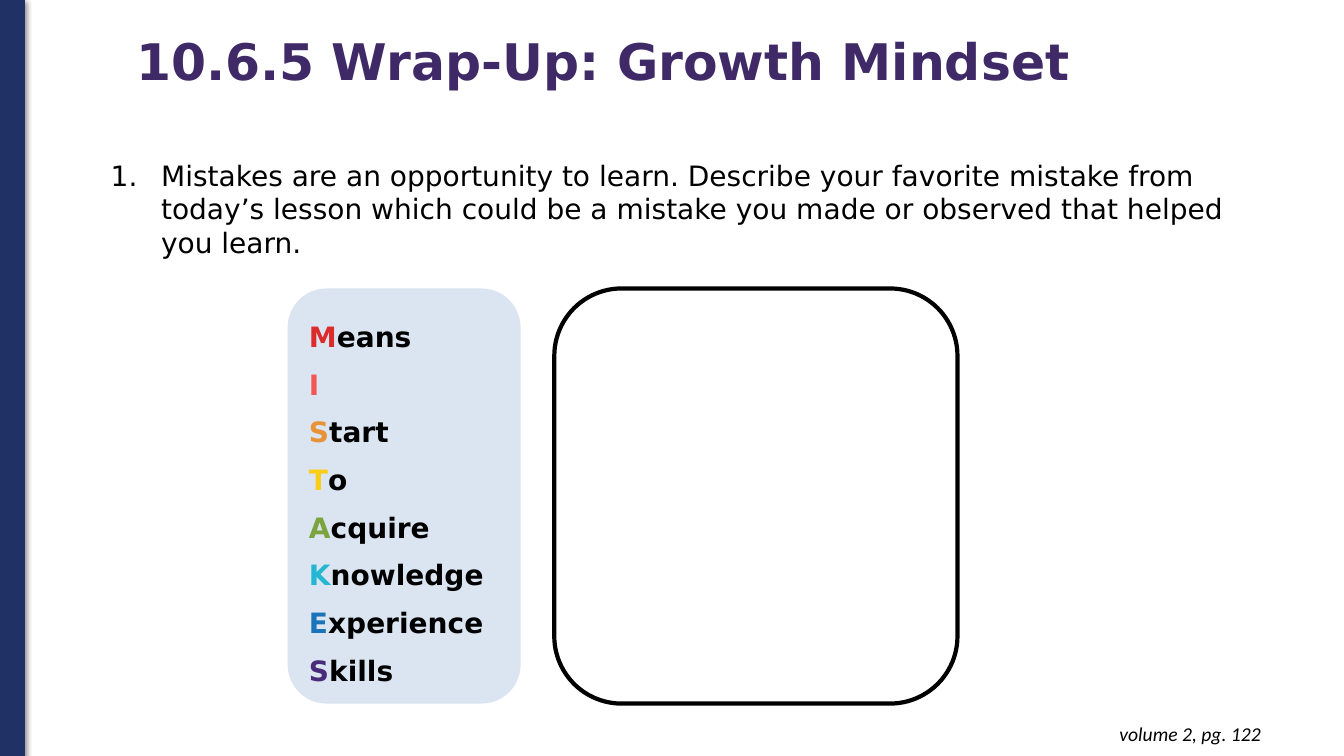
from lxml import etree
from pptx import Presentation
from pptx import util as u
from pptx.dml import color
from pptx.enum import shapes, text
from pptx.oxml import ns

COLOURS = {
    "navy": "1F3165", "title": "3F2A67", "ink": "000000", "panel": "DAE5F1",
    "red": "DB2B2A", "coral": "F25756", "orange": "E99237", "yellow": "FACD17",
    "green": "7BA43F", "cyan": "24B7D2", "blue": "1B74B9", "purple": "4A2B79",
}
LESSON_TITLE = "10.6.5 Wrap-Up: Growth Mindset"
QUESTION = ("Mistakes are an opportunity to learn. Describe your favorite mistake from "
            "today’s lesson which could be a mistake you made or observed that helped "
            "you learn.")
PAGE_REFERENCE = "volume 2, pg. 122"
ACROSTIC = [
    ("Means", "red"), ("I", "coral"), ("Start", "orange"), ("To", "yellow"),
    ("Acquire", "green"), ("Knowledge", "cyan"), ("Experience", "blue"), ("Skills", "purple"),
]
TITLE_FONT = {"name": "DejaVu Sans", "size": u.Pt(36), "bold": True}
QUESTION_FONT = {"name": "DejaVu Sans", "size": u.Pt(20), "bold": False}
WORD_FONT = {"name": "DejaVu Sans", "size": u.Pt(20), "bold": True}
REFERENCE_FONT = {"name": "Calibri", "size": u.Pt(14), "italic": True}


def rgb(key):
    """Return the named colour."""
    return color.RGBColor.from_string(COLOURS[key])


def apply(target, values):
    """Set every attribute in values on target."""
    for attribute, value in values.items():
        setattr(target, attribute, value)


def write(paragraph, wording, font_values, colour):
    """Add a formatted run to a paragraph."""
    run = paragraph.add_run()
    run.text = wording
    apply(run.font, font_values)
    run.font.color.rgb = rgb(colour)


def set_frame(frame, anchor, side, top):
    """Give a text frame its wrapping, anchor and margins."""
    apply(frame, {
        "word_wrap": True, "auto_size": text.MSO_AUTO_SIZE.NONE, "vertical_anchor": anchor,
        "margin_left": side, "margin_right": side, "margin_top": top, "margin_bottom": top,
    })


def place(part, box):
    """Move a part to its box."""
    apply(part, dict(zip(("left", "top", "width", "height"), box)))


def add_panel(slide, box, kind, fill=None, line=None, line_width=0.75):
    """Add a preset shape with an optional fill and outline."""
    panel = slide.shapes.add_shape(kind, *box)
    panel.shadow.inherit = False
    if fill:
        panel.fill.solid()
        panel.fill.fore_color.rgb = rgb(fill)
    else:
        panel.fill.background()
    if line:
        panel.line.color.rgb = rgb(line)
        panel.line.width = u.Pt(line_width)
    else:
        panel.line.fill.background()
    return panel


def add_sidebar(slide, box):
    """Draw the navy band with its soft shadow."""
    band = add_panel(slide, box, shapes.MSO_SHAPE.RECTANGLE, "navy", "navy")
    effects = band._element.spPr.find(ns.qn("a:effectLst"))
    shadow = etree.SubElement(effects, ns.qn("a:outerShdw"), blurRad=str(u.Pt(4.5)),
                              dist=str(u.Pt(1.5)), dir="5400000", rotWithShape="0")
    tint = etree.SubElement(shadow, ns.qn("a:srgbClr"), val=COLOURS["ink"])
    etree.SubElement(tint, ns.qn("a:alpha"), val="50000")


def add_title(slide, box):
    """Fill the title placeholder."""
    title = slide.shapes.title
    place(title, box)
    set_frame(title.text_frame, text.MSO_ANCHOR.MIDDLE, u.Cm(0.25), u.Cm(0.13))
    heading = title.text_frame.paragraphs[0]
    apply(heading, {"alignment": text.PP_ALIGN.LEFT, "line_spacing": 0.9})
    write(heading, LESSON_TITLE, TITLE_FONT, "title")


def add_question(slide, box):
    """Fill the body placeholder with the numbered question."""
    body = slide.placeholders[1]
    place(body, box)
    set_frame(body.text_frame, text.MSO_ANCHOR.TOP, u.Cm(0.25), u.Cm(0.13))
    question = body.text_frame.paragraphs[0]
    apply(question, {"alignment": text.PP_ALIGN.LEFT, "space_before": u.Pt(0)})
    properties = question._p.get_or_add_pPr()
    properties.set("marL", str(u.Cm(1.27)))
    properties.set("indent", str(-u.Cm(1.27)))
    number_colour = etree.SubElement(properties, ns.qn("a:buClr"))
    etree.SubElement(number_colour, ns.qn("a:srgbClr"), val=COLOURS["ink"])
    etree.SubElement(properties, ns.qn("a:buFont"), typeface="DejaVu Sans")
    etree.SubElement(properties, ns.qn("a:buAutoNum"), type="arabicPeriod")
    write(question, QUESTION, QUESTION_FONT, "ink")


def add_acrostic(slide, box):
    """Spell out the acrostic with coloured initials."""
    panel = add_panel(slide, box, shapes.MSO_SHAPE.ROUNDED_RECTANGLE, "panel")
    panel.adjustments[0] = 0.167
    frame = panel.text_frame
    set_frame(frame, text.MSO_ANCHOR.TOP, u.Cm(0.25), u.Cm(0.5))
    for index, (word, colour) in enumerate(ACROSTIC):
        entry = frame.add_paragraph() if index else frame.paragraphs[0]
        apply(entry, {"alignment": text.PP_ALIGN.LEFT, "space_after": u.Pt(10)})
        write(entry, word[0], WORD_FONT, colour)
        if word[1:]:
            write(entry, word[1:], WORD_FONT, "ink")


def add_answer_area(slide, box):
    """Draw the empty outlined area for the answer."""
    area = add_panel(slide, box, shapes.MSO_SHAPE.ROUNDED_RECTANGLE, line="ink", line_width=3)
    area.adjustments[0] = 0.167


def add_reference(slide, box):
    """Add the page reference in the lower right corner."""
    reference = slide.shapes.add_textbox(*box)
    set_frame(reference.text_frame, text.MSO_ANCHOR.TOP, u.Cm(0.25), u.Cm(0.25))
    line = reference.text_frame.paragraphs[0]
    line.alignment = text.PP_ALIGN.RIGHT
    write(line, PAGE_REFERENCE, REFERENCE_FONT, "ink")


def build_wrap_up(deck):
    """Lay out the wrap-up slide."""
    slide = deck.slides.add_slide(deck.slide_layouts[1])
    regions = [
        (add_sidebar, (0, 0, 0.62, 19.07)),
        (add_title, (3.18, 0.79, 26.11, 1.65)),
        (add_question, (2.54, 3.86, 29.21, 3.84)),
        (add_acrostic, (7.25, 7.27, 5.87, 10.46)),
        (add_answer_area, (13.97, 7.27, 10.16, 10.46)),
        (add_reference, (24.71, 17.93, 7.32, 1.12)),
    ]
    for add_region, box in regions:
        add_region(slide, [u.Cm(length) for length in box])


def main():
    """Build and save the deck."""
    deck = Presentation()
    apply(deck, {"slide_width": u.Cm(33.87), "slide_height": u.Cm(19.05)})
    build_wrap_up(deck)
    deck.save("out.pptx")


if __name__ == "__main__":
    main()
